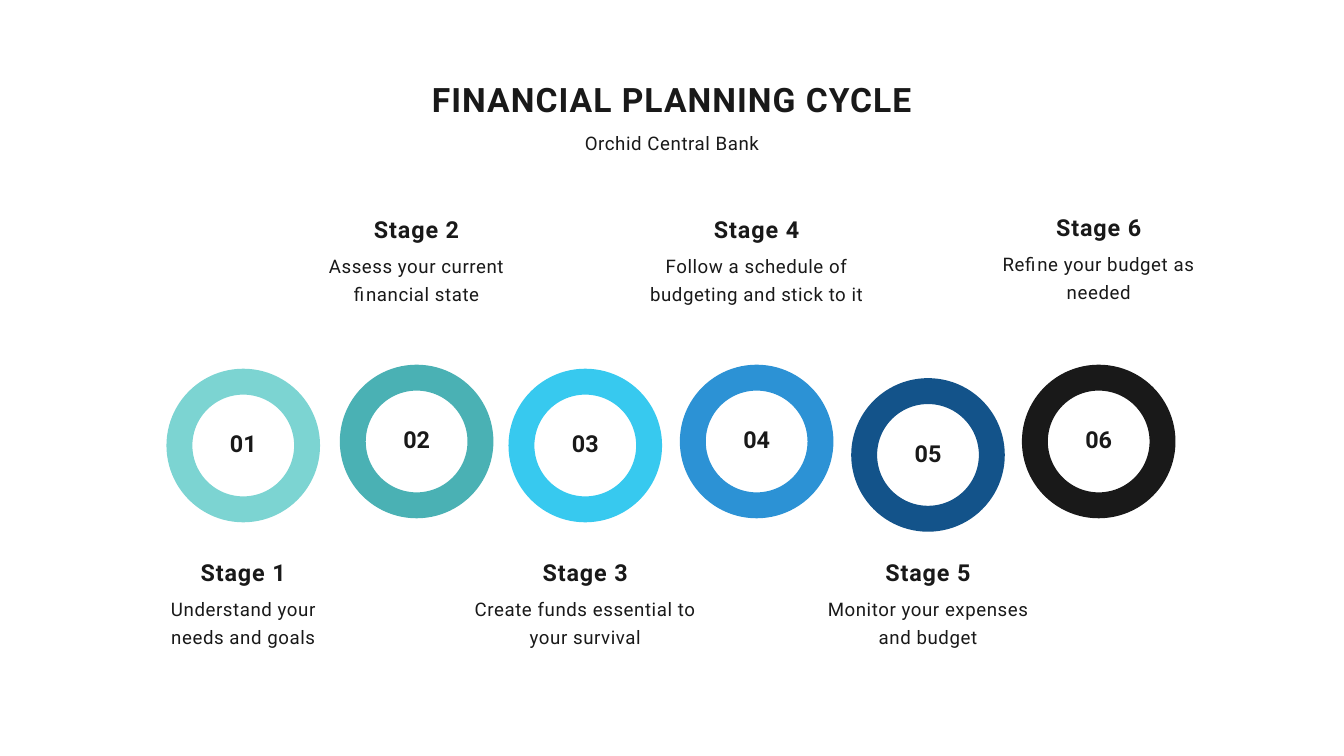
import collections
import dataclasses
import pptx
import pptx.util
import pptx.dml.color
import pptx.enum.shapes
import pptx.enum.text

Box = collections.namedtuple("Box", "left top wide high")
Type = collections.namedtuple("Type", "size lead bold track")
Stage = collections.namedtuple("Stage", "mid top note hue body")


@dataclasses.dataclass(frozen=True)
class Theme:
    font: str = "Roboto"
    ink: str = "191919"
    paper: str = "FFFFFF"
    title: Type = Type(36, 47.2, True, 110)
    head: Type = Type(25, 35, True, 100)
    body: Type = Type(20, 30, False, 60)
    count: Type = Type(25, 37.5, True, 0)
    rim: float = 27.75


THEME = Theme()
COLS, ROWS = 80, 45
WIDE, HIGH = pptx.util.Inches(20), pptx.util.Inches(11.25)
RING, NOTE = 7.6, Box(0, 0, 13.6, 5.52)
ABOVE, BELOW = 12.52, 32.92
STAGES = [
    Stage(14.48, 22.72, BELOW, "7CD4D2", "Understand your\nneeds and goals"),
    Stage(24.8, 22.48, ABOVE, "4AB1B4", "Assess your current financial state"),
    Stage(34.84, 22.72, BELOW, "37C9EF", "Create funds essential to your survival"),
    Stage(45.04, 22.48, ABOVE, "2C92D5", "Follow a schedule of budgeting and stick to it"),
    Stage(55.24, 23.28, BELOW, "13538A", "Monitor your expenses\nand budget"),
    Stage(65.4, 22.48, ABOVE - 0.12, "191919", "Refine your budget as needed"),
]


def color(code):
    return pptx.dml.color.RGBColor.from_string(code)


def place(box):
    across, down = WIDE / COLS, HIGH / ROWS
    return (round(box.left * across), round(box.top * down),
            round(box.wide * across), round(box.high * down))


def part(box, left, top, wide, high):
    return Box(box.left + left * box.wide, box.top + top * box.high,
               wide * box.wide, high * box.high)


def write(shapes, box, text, style, inset=0, middle=False):
    frame = shapes.add_textbox(*place(box)).text_frame
    frame.word_wrap = True
    frame.margin_left = frame.margin_right = pptx.util.Inches(inset)
    frame.margin_top = frame.margin_bottom = pptx.util.Inches(inset)
    if middle:
        frame.vertical_anchor = pptx.enum.text.MSO_ANCHOR.MIDDLE
    else:
        frame.auto_size = pptx.enum.text.MSO_AUTO_SIZE.SHAPE_TO_FIT_TEXT
    frame.text = text
    for line in frame.paragraphs:
        line.alignment = pptx.enum.text.PP_ALIGN.CENTER
        line.line_spacing = pptx.util.Pt(style.lead)
        font = line.font
        font.name = THEME.font
        font.size = pptx.util.Pt(style.size)
        font.bold = style.bold
        font.color.rgb = color(THEME.ink)
        font._rPr.set("spc", str(style.track))


def banner(shapes, box, title, label):
    write(shapes, part(box, 0, 0.66, 1, 0.34), label, THEME.body)
    write(shapes, part(box, 0, 0, 1, 0.55), title, THEME.title)


def note(shapes, box, head, body):
    write(shapes, part(box, 0, 0.42, 1, 0.58), body, THEME.body)
    write(shapes, part(box, 0, 0, 1, 0.33), head, THEME.head)


def ring(shapes, box, hue, count):
    disk = shapes.add_shape(pptx.enum.shapes.MSO_SHAPE.OVAL, *place(box))
    disk.shadow.inherit = False
    disk.fill.solid()
    disk.fill.fore_color.rgb = color(THEME.paper)
    disk.line.color.rgb = color(hue)
    disk.line.width = pptx.util.Pt(THEME.rim)
    write(shapes, part(box, 0.09, 0, 0.82, 0.91), count, THEME.count, 0.06, True)


def main():
    deck = pptx.Presentation()
    deck.slide_width, deck.slide_height = WIDE, HIGH
    slide = deck.slides.add_slide(deck.slide_layouts[6])

    def group():
        return slide.shapes.add_group_shape().shapes

    banner(group(), Box(16.04, 4.48, 47.92, 4.56),
           "FINANCIAL PLANNING CYCLE", "Orchid Central Bank")
    for index, stage in enumerate(STAGES, 1):
        note(group(), NOTE._replace(left=stage.mid - NOTE.wide / 2, top=stage.note),
             f"Stage {index}", stage.body)
        ring(group(), Box(stage.mid - RING / 2, stage.top, RING, RING),
             stage.hue, f"{index:02}")
    deck.save("out.pptx")


if __name__ == "__main__":
    main()
